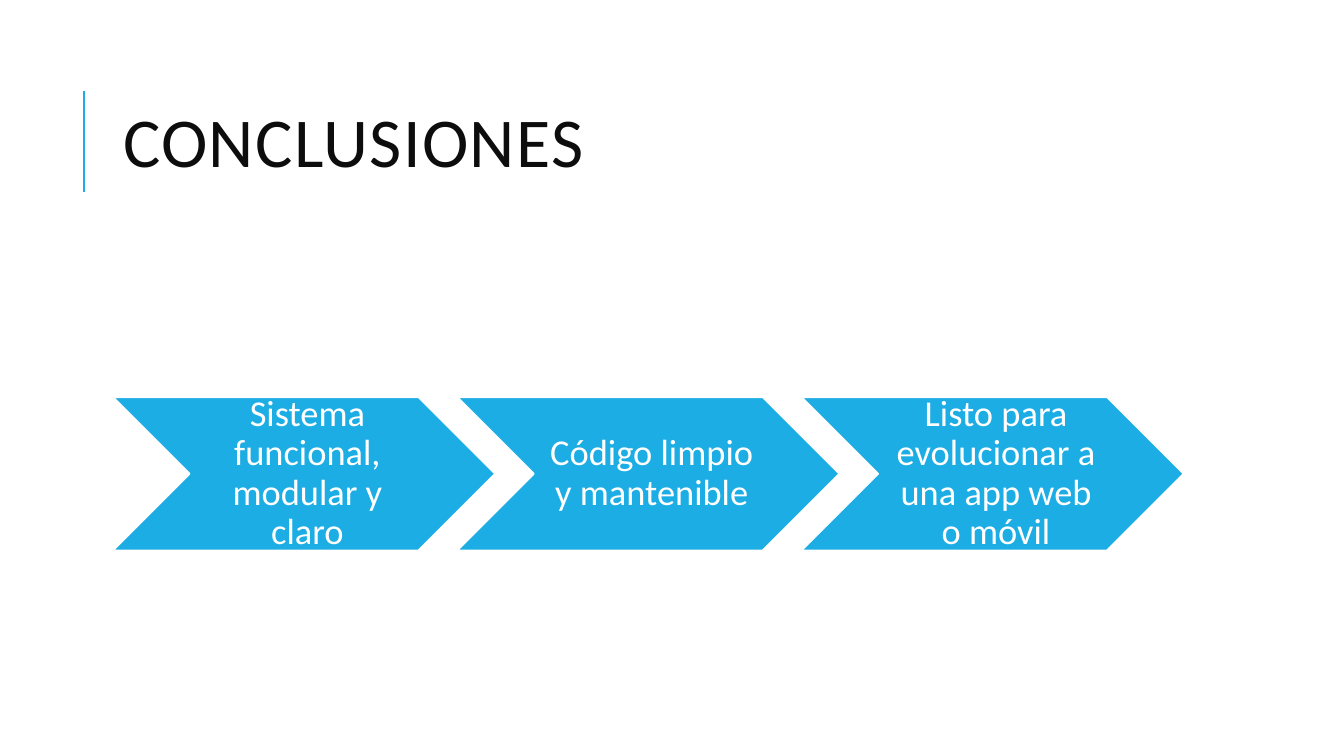
from pptx import Presentation
from pptx.dml.color import RGBColor
from pptx.enum.shapes import MSO_CONNECTOR, MSO_SHAPE
from pptx.enum.text import MSO_ANCHOR, MSO_AUTO_SIZE, PP_ALIGN
from pptx.oxml.ns import qn
from pptx.util import Inches, Pt
from lxml.etree import SubElement

COLOURS = {"accent": "1CADE4", "title": "0D0D0D", "white": "FFFFFF"}
FONT = "Calibri"
CONCLUSIONS = [
    "Sistema funcional, modular y claro",
    "Código limpio y mantenible",
    "Listo para evolucionar a una app web o móvil",
]
LEFT, TOP, WIDTH, HEIGHT = 1.12, 3.94, 3.79, 1.52
STEP = 3.415


def colour(name):
    return RGBColor.from_string(COLOURS[name])


def add_span(para, text, size, tint):
    span = para.add_run()
    span.text = text
    span.font.name = FONT
    span.font.size = Pt(size)
    span.font.color.rgb = colour(tint)
    return span


def add_accent_line(page):
    line = page.shapes.add_connector(
        MSO_CONNECTOR.STRAIGHT, Inches(0.83), Inches(1.9), Inches(0.83), Inches(0.9))
    line.line.color.rgb = colour("accent")
    line.line.width = Pt(1.5)
    SubElement(line._element.spPr, qn("a:effectLst"))


def set_title(page, text):
    title = page.shapes.title
    title.left, title.top = Inches(1.12), Inches(0.64)
    title.width, title.height = Inches(10.63), Inches(1.64)
    frame = title.text_frame
    frame.auto_size = MSO_AUTO_SIZE.NONE
    frame.word_wrap = True
    frame.vertical_anchor = MSO_ANCHOR.MIDDLE
    para = frame.paragraphs[0]
    para.alignment = PP_ALIGN.LEFT
    para.line_spacing = 0.8
    span = add_span(para, text, 50, "title")
    span.font._element.set("spc", "100")  # letter spacing of 1 pt


def add_chevron(page, left, text):
    chevron = page.shapes.add_shape(
        MSO_SHAPE.CHEVRON, Inches(left), Inches(TOP), Inches(WIDTH), Inches(HEIGHT))
    chevron.shadow.inherit = False
    chevron.fill.solid()
    chevron.fill.fore_color.rgb = colour("accent")
    chevron.line.color.rgb = colour("white")
    chevron.line.width = Pt(1.25)

    frame = chevron.text_frame
    frame.word_wrap = True
    frame.vertical_anchor = MSO_ANCHOR.MIDDLE
    frame.margin_left = Inches(0.11)
    frame.margin_right = frame.margin_top = frame.margin_bottom = Inches(0.04)
    para = frame.paragraphs[0]
    para.alignment = PP_ALIGN.CENTER
    para.line_spacing = 0.9
    add_span(para, text, 26, "white")


def main():
    deck = Presentation()
    deck.slide_width, deck.slide_height = Inches(13.33), Inches(7.5)
    page = deck.slides.add_slide(deck.slide_layouts.get_by_name("Title Only"))

    # Heading
    add_accent_line(page)
    set_title(page, "CONCLUSIONES")

    # Row of conclusions
    for index, text in enumerate(CONCLUSIONS):
        add_chevron(page, LEFT + index * STEP, text)

    deck.save("out.pptx")


if __name__ == "__main__":
    main()
